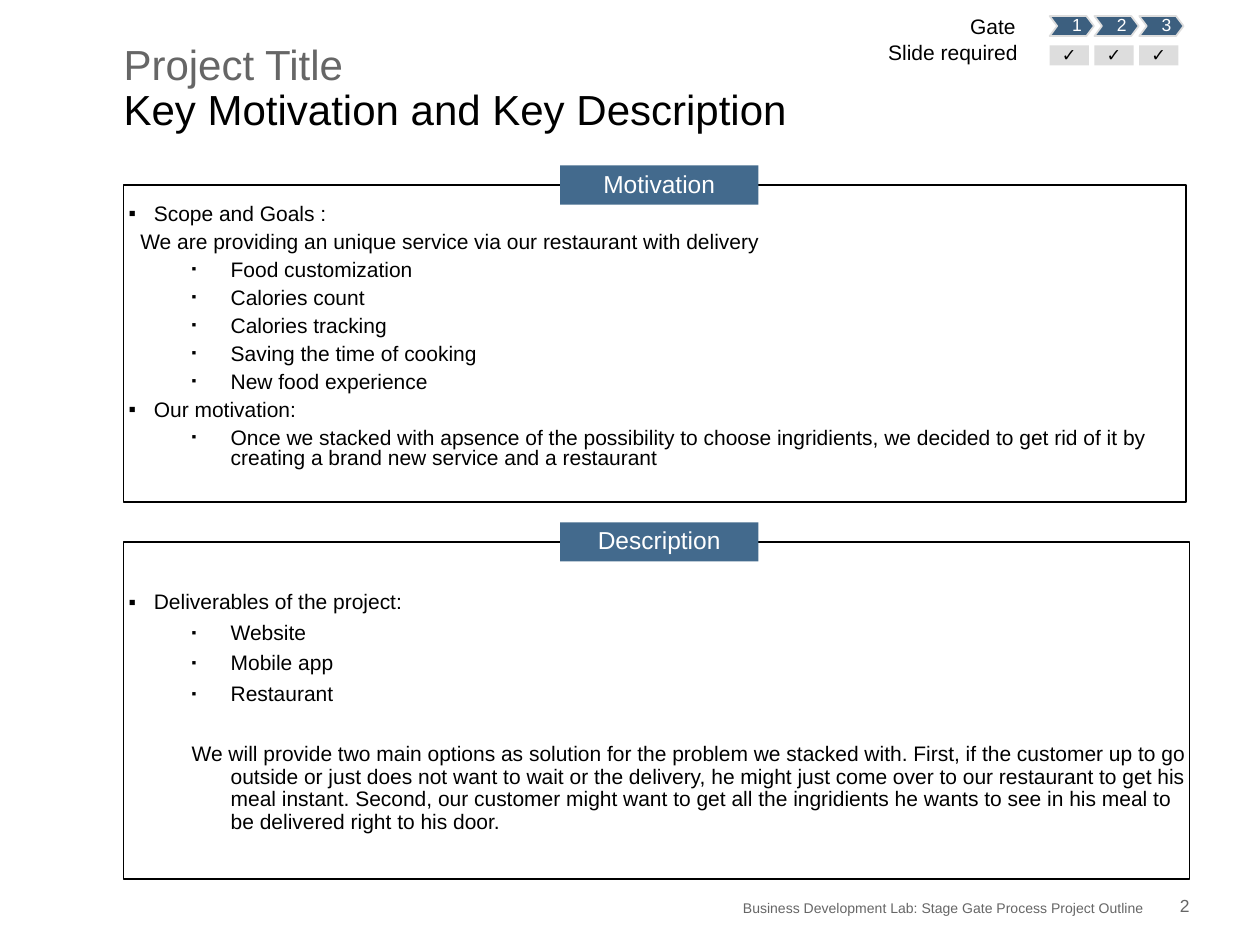
from copy import deepcopy

from lxml import etree
from pptx import Presentation
from pptx.dml.color import RGBColor
from pptx.enum.shapes import MSO_SHAPE
from pptx.enum.text import MSO_ANCHOR, MSO_AUTO_SIZE, PP_ALIGN
from pptx.oxml.ns import qn
from pptx.util import Pt

RECTANGLE = MSO_SHAPE.RECTANGLE
TOP, MIDDLE, BOTTOM = MSO_ANCHOR.TOP, MSO_ANCHOR.MIDDLE, MSO_ANCHOR.BOTTOM
LEFT, CENTER, RIGHT = PP_ALIGN.LEFT, PP_ALIGN.CENTER, PP_ALIGN.RIGHT
NO_AUTOFIT = MSO_AUTO_SIZE.NONE

BLACK = RGBColor(0x00, 0x00, 0x00)
WHITE = RGBColor(0xFF, 0xFF, 0xFF)
GRAY = RGBColor(0x66, 0x66, 0x66)
SILVER = RGBColor(0xDD, 0xDD, 0xDD)
BLUE = RGBColor(0x43, 0x6A, 0x8D)
GATE_BLUE = RGBColor(0x3C, 0x5F, 0x7F)

FONT = "Arial"
MARGIN = 70.6
BADGE_LEFT, BADGE_WIDTH, BADGE_HEIGHT = 320, 113.4, 22.4
GATE_LEFT, GATE_PITCH, GATE_WIDTH, GATE_HEIGHT = 599.8, 25.6, 25.3, 11.4
GATE_TOP, GATE_TIP = 9.2, 4.3
CHECK_TOP, CHECK_WIDTH = 26, 22.4

HEADING = dict(left=14.4, first=-14.4, bullet=100)
ITEM = dict(level=1, left=58.3, first=-22.3, bullet=65)
INTRO = dict(left=6.7)
SUMMARY = dict(level=1, left=58.3, first=-22.3, before=16.9)

MOTIVATION = [
    ("Scope and Goals :", HEADING),
    ("We are providing an unique service via our restaurant with delivery", INTRO),
    ("Food customization", ITEM),
    ("Calories count", ITEM),
    ("Calories tracking", ITEM),
    ("Saving the time of cooking", ITEM),
    ("New food experience", ITEM),
    ("Our motivation:", HEADING),
    ("Once we stacked with apsence of the possibility to choose ingridients, "
     "we decided to get rid of it by creating a brand new service and a restaurant", ITEM),
]
DESCRIPTION = [
    ("Deliverables of the project:", HEADING),
    ("Website", ITEM),
    ("Mobile app", ITEM),
    ("Restaurant", ITEM),
    ("We will provide two main options as solution for the problem we stacked with. "
     "First, if the customer up to go outside or just does not want to wait or the "
     "delivery, he might just come over to our restaurant to get his meal instant. "
     "Second, our customer might want to get all the ingridients he wants to see in "
     "his meal to be delivered right to his door.", SUMMARY),
]


def place(shape, left, top, width, height):
    shape.left, shape.top = Pt(left), Pt(top)
    shape.width, shape.height = Pt(width), Pt(height)


def set_frame(shape, anchor=MIDDLE, wrap=False, inset_left=0, inset_top=0):
    frame = shape.text_frame
    frame.auto_size = NO_AUTOFIT
    frame.word_wrap = wrap
    frame.vertical_anchor = anchor
    frame.margin_left, frame.margin_top = Pt(inset_left), Pt(inset_top)
    frame.margin_right = frame.margin_bottom = 0
    return frame


def write(para, text, size=12, color=BLACK, align=LEFT, spacing=0.9, before=0, after=0):
    para.alignment = align
    para.line_spacing = spacing
    para.space_before, para.space_after = Pt(before), Pt(after)
    span = para.add_run()
    span.text = text
    span.font.name, span.font.size = FONT, Pt(size)
    span.font.color.rgb = color
    return span


def set_indent(para, level=0, left=0, first=0, bullet=None):
    para.level = level
    props = para._p.get_or_add_pPr()
    props.set("marL", str(Pt(left)))
    props.set("indent", str(Pt(first)))
    if bullet is None:
        etree.SubElement(props, qn("a:buNone"))
        return
    bullet_color = etree.SubElement(props, qn("a:buClr"))
    etree.SubElement(bullet_color, qn("a:srgbClr"), val=str(BLACK))
    etree.SubElement(props, qn("a:buSzPct"), val=str(bullet * 1000))
    etree.SubElement(props, qn("a:buFont"), typeface=FONT)
    etree.SubElement(props, qn("a:buChar"), char="▪")


def add_title(page, first_line, second_line):
    title = page.shapes.title
    place(title, MARGIN, 25.2, 609.1, 76.3)
    para = set_frame(title, anchor=TOP, wrap=True).paragraphs[0]
    span = write(para, first_line, size=24, color=GRAY)
    para.add_line_break()
    para._p[-1].append(deepcopy(span._r.get_or_add_rPr()))
    write(para, second_line, size=24, after=9)


def add_label(page, text, left, top, width, height, anchor=TOP, **style):
    box = page.shapes.add_textbox(Pt(left), Pt(top), Pt(width), Pt(height))
    write(set_frame(box, anchor=anchor).paragraphs[0], text, **style)


def paint(shape, fill, line=None):
    shape.shadow.inherit = False
    shape.fill.solid()
    shape.fill.fore_color.rgb = fill
    if line is None:
        shape.line.fill.background()
    else:
        shape.line.color.rgb = line
        shape.line.width = Pt(1)


def add_block(page, text, left, top, width, height, fill, **style):
    block = page.shapes.add_shape(RECTANGLE, Pt(left), Pt(top), Pt(width), Pt(height))
    paint(block, fill)
    write(set_frame(block).paragraphs[0], text, align=CENTER, **style)


def add_gate(page, text, left):
    right, bottom = left + GATE_WIDTH, GATE_TOP + GATE_HEIGHT
    middle = GATE_TOP + GATE_HEIGHT / 2
    outline = [(right - GATE_TIP, GATE_TOP), (right, middle), (right - GATE_TIP, bottom),
               (left, bottom), (left + GATE_TIP, middle)]
    builder = page.shapes.build_freeform(Pt(left), Pt(GATE_TOP))
    builder.add_line_segments([(Pt(x), Pt(y)) for x, y in outline], close=True)
    gate = builder.convert_to_shape()
    paint(gate, GATE_BLUE, SILVER)
    para = set_frame(gate, inset_left=5.8).paragraphs[0]
    write(para, text, size=10, color=WHITE, align=CENTER, after=3.7)


def add_section(page, body, name, rows, top, width, height, inset_top, spacing):
    place(body, MARGIN, top, width, height)
    body.line.color.rgb = BLACK
    body.line.width = Pt(1)
    frame = set_frame(body, anchor=TOP, wrap=True, inset_left=2.9, inset_top=inset_top)
    for index, (text, layout) in enumerate(rows):
        para = frame.add_paragraph() if index else frame.paragraphs[0]
        indent = dict(layout)
        before = indent.pop("before", 0)
        set_indent(para, **indent)
        write(para, text, spacing=spacing, before=before, after=4.5)
    add_block(page, name, BADGE_LEFT, top - BADGE_HEIGHT / 2, BADGE_WIDTH, BADGE_HEIGHT,
              BLUE, size=14, color=WHITE, after=5.2)


def main():
    deck = Presentation()
    deck.slide_width, deck.slide_height = Pt(720), Pt(540)
    page = deck.slides.add_slide(deck.slide_layouts[3])
    motivation, description = page.placeholders[1], page.placeholders[2]

    add_title(page, "Project Title", "Key Motivation and Key Description")
    add_section(page, motivation, "Motivation", MOTIVATION,
                top=105.8, width=607, height=181.2, inset_top=11.5, spacing=0.8)
    add_section(page, description, "Description", DESCRIPTION,
                top=309.7, width=609.1, height=192.7, inset_top=28.4, spacing=0.9)

    add_label(page, "Gate", 554.4, 9.4, 25.9, 13, align=CENTER, after=4.5)
    add_label(page, "Slide required", 507.4, 24.2, 74.2, 13, align=RIGHT, after=4.5)
    for index in range(3):
        left = GATE_LEFT + index * GATE_PITCH
        add_gate(page, str(index + 1), left)
        add_block(page, "✓", left, CHECK_TOP, CHECK_WIDTH, GATE_HEIGHT, SILVER,
                  size=10, after=3.7)

    footer = dict(top=511.9, height=11.5, anchor=BOTTOM, color=GRAY, align=RIGHT, spacing=1.0)
    add_label(page, "Business Development Lab: Stage Gate Process Project Outline",
              left=120, width=533.8, size=8, **footer)
    add_label(page, "2", left=653.8, width=26, size=10, **footer)
    deck.save("out.pptx")


if __name__ == "__main__":
    main()
